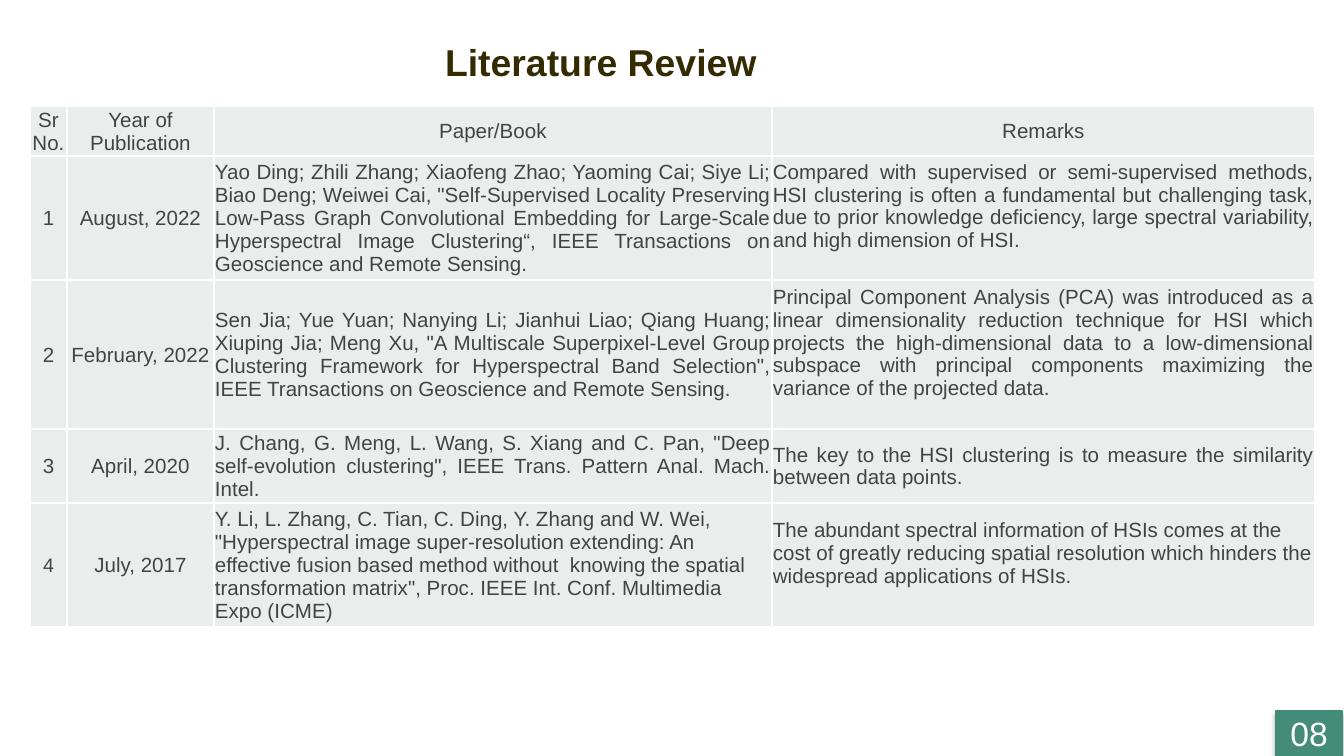
from dataclasses import dataclass

from lxml.etree import SubElement
from pptx import Presentation
from pptx.dml.color import RGBColor
from pptx.enum.shapes import MSO_SHAPE
from pptx.enum.text import MSO_ANCHOR as Anchor, MSO_AUTO_SIZE as AutoSize, PP_ALIGN as Align
from pptx.oxml.ns import qn
from pptx.util import Pt

EMU_PER_PX = 914400 / 134.4


@dataclass(frozen=True)
class Theme:
    font: str = "Arial"
    title: str = "342B02"
    body: str = "434343"
    white: str = "FFFFFF"
    cell: str = "E9EEEC"
    badge: str = "448C79"
    badge_line: str = "418B77"
    title_size: float = 20
    badge_size: float = 18
    body_size: float = 11
    last_number_size: float = 10.5


theme = Theme()


def px(length):
    return round(length * EMU_PER_PX)


def write(frame, text, size, color, align, bold=False, anchor=Anchor.MIDDLE,
          margins=(0, 0, 0, 0), line_spacing=None):
    """Fill a shape or cell with one paragraph; margins are left, top, right, bottom in px.

    A cell holds its own margins and anchor, a shape holds them in its text frame."""
    holder = frame if hasattr(frame, "margin_left") else frame.text_frame
    holder.margin_left, holder.margin_top, holder.margin_right, holder.margin_bottom = map(px, margins)
    holder.vertical_anchor = anchor
    holder.word_wrap = True
    text_frame = getattr(frame, "text_frame", frame)
    paragraph = text_frame.paragraphs[0]
    paragraph.alignment = align
    paragraph.line_spacing = line_spacing
    run = paragraph.add_run()
    run.text = text
    run.font.name = theme.font
    run.font.size = Pt(size)
    run.font.bold = bold
    run.font.color.rgb = RGBColor.from_string(color)


presentation = Presentation()
presentation.slide_width, presentation.slide_height = px(1344), px(756)
slide = presentation.slides.add_slide(presentation.slide_layouts[5])

# Page number badge with a soft shadow below it
badge = slide.shapes.add_shape(MSO_SHAPE.RECTANGLE, px(1276), px(711), px(66), px(45))
badge.fill.solid()
badge.fill.fore_color.rgb = RGBColor.from_string(theme.badge)
badge.line.color.rgb = RGBColor.from_string(theme.badge_line)
badge.line.width = Pt(0.75)
badge.shadow.inherit = False
effects = badge._element.spPr.find(qn("a:effectLst"))
shadow = SubElement(effects, qn("a:outerShdw"), blurRad=str(Pt(3.1)), dist=str(Pt(1.8)),
                    dir="5400000", rotWithShape="0")
shadow_color = SubElement(shadow, qn("a:srgbClr"), val="000000")
SubElement(shadow_color, qn("a:alpha"), val="35000")
write(badge.text_frame, "08", theme.badge_size, theme.white, Align.CENTER)

title = slide.shapes.title
title.left, title.top, title.width, title.height = px(419), px(40), px(364), px(51)
title.text_frame.auto_size = AutoSize.NONE
write(title.text_frame, "Literature Review", theme.title_size, theme.title, Align.CENTER,
      bold=True, anchor=Anchor.TOP, margins=(13, 7, 13, 7), line_spacing=Pt(20))

# Literature table
column_widths = [37, 147, 558, 543]
row_heights = [50, 124, 149, 74, 124]
rows = [
    ["Sr No.", "Year of Publication", "Paper/Book", "Remarks"],
    ["1", "August, 2022",
     'Yao Ding; Zhili Zhang; Xiaofeng Zhao; Yaoming Cai; Siye Li; Biao Deng; Weiwei Cai, '
     '"Self-Supervised Locality Preserving Low-Pass Graph Convolutional Embedding for '
     'Large-Scale Hyperspectral Image Clustering“, IEEE Transactions on Geoscience and '
     'Remote Sensing.',
     "Compared with supervised or semi-supervised methods, HSI clustering is often a "
     "fundamental but challenging task, due to prior knowledge deficiency, large spectral "
     "variability, and high dimension of HSI."],
    ["2", "February, 2022",
     'Sen Jia; Yue Yuan; Nanying Li; Jianhui Liao; Qiang Huang; Xiuping Jia; Meng Xu, '
     '"A Multiscale Superpixel-Level Group Clustering Framework for Hyperspectral Band '
     'Selection", IEEE Transactions on Geoscience and Remote Sensing.',
     "Principal Component Analysis (PCA) was introduced as a linear dimensionality reduction "
     "technique for HSI which projects the high-dimensional data to a low-dimensional "
     "subspace with principal components maximizing the variance of the projected data."],
    ["3", "April, 2020",
     'J. Chang, G. Meng, L. Wang, S. Xiang and C. Pan, "Deep self-evolution clustering", '
     'IEEE Trans. Pattern Anal. Mach. Intel.',
     "The key to the HSI clustering is to measure the similarity between data points."],
    ["4", "July, 2017",
     'Y. Li, L. Zhang, C. Tian, C. Ding, Y. Zhang and W. Wei, "Hyperspectral image '
     'super-resolution extending: An effective fusion based method without  knowing the '
     'spatial transformation matrix", Proc. IEEE Int. Conf. Multimedia Expo (ICME)',
     "The abundant spectral information of HSIs comes at the cost of greatly reducing spatial "
     "resolution which hinders the widespread applications of HSIs."],
]
raised_remarks = {1, 2, 4}
last_row = len(rows) - 1

table = slide.shapes.add_table(len(rows), len(column_widths), px(30), px(106),
                               px(sum(column_widths)), px(sum(row_heights))).table
table.first_row = table.horz_banding = False
for column, width in zip(table.columns, column_widths):
    column.width = px(width)

for row_index, texts in enumerate(rows):
    table.rows[row_index].height = px(row_heights[row_index])
    for column_index, text in enumerate(texts):
        cell = table.cell(row_index, column_index)
        if row_index == 0 or column_index < 2:
            align = Align.CENTER
        else:
            align = Align.LEFT if row_index == last_row else Align.JUSTIFY
        raised = column_index == 3 and row_index in raised_remarks
        size = theme.last_number_size if (row_index, column_index) == (last_row, 0) else theme.body_size
        write(cell, text, size, theme.body, align, margins=(1, 1, 1, 24 if raised else 0))

        properties = cell._tc.get_or_add_tcPr()
        for side in ("lnL", "lnR", "lnT", "lnB"):
            border = SubElement(properties, qn(f"a:{side}"), w=str(Pt(1)))
            border_fill = SubElement(border, qn("a:solidFill"))
            SubElement(border_fill, qn("a:srgbClr"), val=theme.white)
        cell.fill.solid()
        cell.fill.fore_color.rgb = RGBColor.from_string(theme.cell)

presentation.save("out.pptx")
